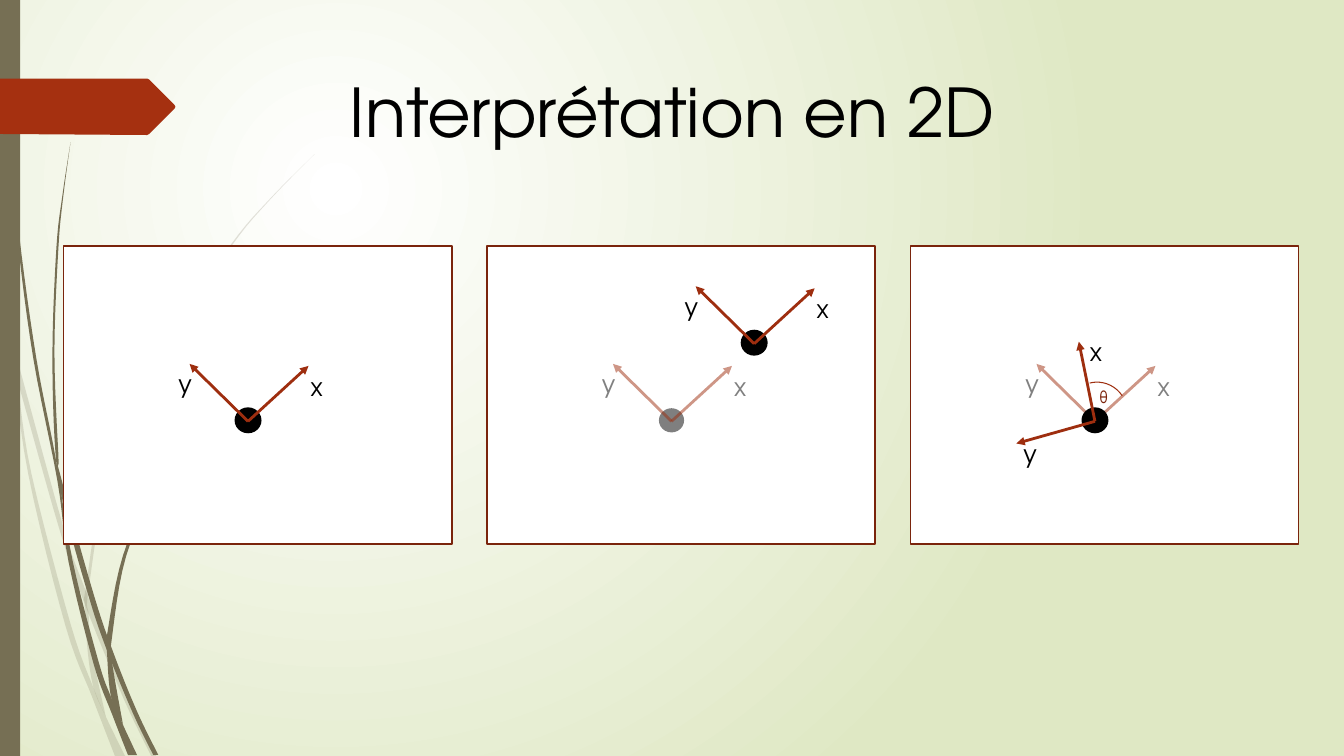
from dataclasses import dataclass

from lxml.etree import SubElement
from pptx import Presentation
from pptx.dml.color import RGBColor
from pptx.enum.shapes import MSO_CONNECTOR, MSO_SHAPE
from pptx.enum.text import MSO_ANCHOR, MSO_AUTO_SIZE, PP_ALIGN
from pptx.oxml.ns import qn
from pptx.util import Inches, Pt


@dataclass(frozen=True)
class Theme:
    font: str = "TeX Gyre Adventor"
    black: str = "000000"
    white: str = "FFFFFF"
    faded: str = "808080"
    pale_green: str = "DFE8C4"
    olive: str = "766F54"
    tag: str = "A53010"
    axis: str = "9E2E0F"
    border: str = "7A240C"
    angle: str = "7C240C"
    title_size: int = 48
    label_size: int = 18
    angle_size: int = 12


# Each blade of grass is a pair of edges, both listed from the tip down.
PALE_BLADES = [
    ([(0, 2.82), (0.09, 3.22), (0.17, 3.76), (0.31, 4.69), (0.7, 6.19), (0.93, 6.83),
      (1.05, 7.11), (1.24, 7.5)],
     [(0, 2.99), (0.1, 3.44), (0.28, 4.7), (0.65, 6.21), (0.92, 6.93), (1.14, 7.5)]),
    ([(0.14, 3.45), (0.62, 5.2), (0.85, 5.86), (1.27, 6.92), (1.55, 7.5)],
     [(0.17, 3.76), (0.58, 5.22), (0.84, 5.99), (1.23, 6.94), (1.5, 7.5)]),
    ([(3.12, 1.53), (2.68, 1.98), (2.29, 2.45), (1.6, 3.49), (1.1, 4.62), (0.88, 5.84),
      (0.88, 6.1), (0.91, 6.46), (1.05, 7.11)],
     [(3.12, 1.53), (2.68, 1.97), (2.28, 2.44), (1.58, 3.48), (1.07, 4.61), (0.85, 5.84),
      (0.84, 5.99), (0.87, 6.46), (0.93, 6.83), (1.05, 7.11)]),
]
DARK_BLADES = [
    ([(0.04, 0), (0.05, 0.48), (0.08, 1.09), (0.19, 2.32), (0.36, 3.55), (0.55, 4.53),
      (0.72, 5.56), (0.98, 6.57), (1.1, 6.91), (1.22, 7.19), (1.36, 7.49)],
     [(0.03, 0), (0.04, 0.48), (0.07, 1.1), (0.17, 2.33), (0.33, 3.55), (0.57, 4.77),
      (0.68, 5.57), (0.93, 6.59), (1.11, 7.08), (1.27, 7.49)]),
    ([(0.7, 1.41), (0.63, 1.93), (0.58, 2.45), (0.54, 3.49), (0.58, 4.53), (0.6, 4.72),
      (0.93, 5.9), (1.13, 6.49), (1.36, 7.06), (1.57, 7.49)],
     [(0.7, 1.41), (0.62, 1.93), (0.56, 2.45), (0.52, 3.49), (0.55, 4.49), (0.64, 5.05),
      (0.88, 5.92), (1.06, 6.45), (1.32, 7.08), (1.52, 7.49)]),
    ([(2.6, 3.44), (2.31, 3.74), (2.05, 4.06), (1.58, 4.76), (1.25, 5.52), (1.11, 6.33),
      (1.11, 6.56), (1.22, 7.19)],
     [(2.6, 3.44), (2.31, 3.73), (2.04, 4.05), (1.56, 4.74), (1.22, 5.51), (1.06, 6.31),
      (1.06, 6.45), (1.1, 6.91), (1.22, 7.19)]),
]
TAG_OUTLINE = [(0, 0.78), (1.46, 0.78), (1.48, 0.79), (1.73, 1.04), (1.74, 1.06),
               (1.73, 1.08), (1.48, 1.33), (1.46, 1.34), (0, 1.33)]


def smooth_edge(points, steps=6):
    """Return points along a Catmull-Rom curve through the given ones."""
    padded = [points[0], *points, points[-1]]
    curve = []
    for a, b, c, d in zip(padded, padded[1:], padded[2:], padded[3:]):
        for step in range(steps):
            t = step / steps
            curve.append(tuple(
                q + (r - p) * t / 2 + (2 * p - 5 * q + 4 * r - s) * t**2 / 2
                + (3 * q - p - 3 * r + s) * t**3 / 2
                for p, q, r, s in zip(a, b, c, d)))
    return curve + [points[-1]]


def set_opacity(element, percent):
    color = element.find(".//" + qn("a:srgbClr"))
    SubElement(color, qn("a:alpha"), val=str(percent * 1000))


class SlideBuilder:
    def __init__(self, slide, theme):
        self.slide = slide
        self.shapes = slide.shapes
        self.theme = theme

    def background(self):
        fill = self.slide.background.fill
        fill.gradient()
        for stop, color in zip(fill.gradient_stops, (self.theme.white, self.theme.pale_green)):
            stop.color.rgb = RGBColor.from_string(color)
        gradient = self.slide.element.find(".//" + qn("a:gradFill"))
        gradient.remove(gradient.find(qn("a:lin")))
        circle = SubElement(gradient, qn("a:path"), {"path": "circle"})
        SubElement(circle, qn("a:fillToRect"), l="50000", t="50000", r="100000", b="100000")

    def style(self, shape, fill=None, line=None, line_width=1.25, opacity=100):
        shape.shadow.inherit = False
        if fill:
            shape.fill.solid()
            shape.fill.fore_color.rgb = RGBColor.from_string(fill)
            if opacity < 100:
                set_opacity(shape.element.spPr, opacity)
        else:
            shape.fill.background()
        if line:
            shape.line.color.rgb = RGBColor.from_string(line)
            shape.line.width = Pt(line_width)
        else:
            shape.line.fill.background()

    def preset(self, kind, left, top, width, height, **style):
        shape = self.shapes.add_shape(kind, Inches(left), Inches(top), Inches(width), Inches(height))
        self.style(shape, **style)
        return shape

    def outline(self, points, fill, opacity=100):
        start, *rest = [(Inches(x), Inches(y)) for x, y in points]
        builder = self.shapes.build_freeform(*start)
        builder.add_line_segments(rest, close=True)
        self.style(builder.convert_to_shape(), fill=fill, opacity=opacity)

    def blades(self, blades, opacity=100):
        for right, left in blades:
            self.outline(smooth_edge(right) + smooth_edge(left)[::-1], self.theme.olive, opacity)

    def font(self, frame, size, color):
        font = frame.paragraphs[0].runs[0].font
        font.name = self.theme.font
        font.size = Pt(size)
        font.color.rgb = RGBColor.from_string(color)

    def title(self, text, left, top, width, height):
        title = self.shapes.title
        title.left, title.top, title.width, title.height = map(Inches, (left, top, width, height))
        frame = title.text_frame
        frame.text = text
        frame.auto_size = MSO_AUTO_SIZE.NONE
        frame.vertical_anchor = MSO_ANCHOR.MIDDLE
        frame.paragraphs[0].alignment = PP_ALIGN.LEFT
        self.font(frame, self.theme.title_size, self.theme.black)

    def label(self, text, left, top, size, color):
        box = self.shapes.add_textbox(Inches(left), Inches(top), Inches(0.21), Inches(0.3))
        frame = box.text_frame
        frame.text = text
        frame.word_wrap = False
        frame.margin_left, frame.margin_right = Inches(0.09), 0
        self.font(frame, size, color)

    def arrow(self, start, end, opacity):
        line = self.shapes.add_connector(MSO_CONNECTOR.STRAIGHT, *map(Inches, (*start, *end)))
        line.line.color.rgb = RGBColor.from_string(self.theme.axis)
        line.line.width = Pt(2)
        properties = line.element.spPr
        if opacity < 100:
            set_opacity(properties, opacity)
        SubElement(properties.find(qn("a:ln")), qn("a:tailEnd"), type="triangle")
        SubElement(properties, qn("a:effectLst"))

    def axes(self, x, y, x_tip=(0.6, -0.55), y_tip=(-0.58, -0.57),
             x_label=(0.53, -0.55), y_label=(-0.78, -0.57), ghost=False):
        """Draw a node with its two axes; tips and labels are offsets from the node."""
        theme, opacity = self.theme, 50 if ghost else 100
        self.preset(MSO_SHAPE.OVAL, x - 0.125, y - 0.13, 0.25, 0.24, fill=theme.black,
                    line=None if ghost else theme.black, opacity=opacity)
        for dx, dy in (x_tip, y_tip):
            self.arrow((x, y), (x + dx, y + dy), opacity)
        for name, (dx, dy) in (("x", x_label), ("y", y_label)):
            self.label(name, x + dx, y + dy, theme.label_size,
                       theme.faded if ghost else theme.black)

    def angle(self, x, y):
        arc = self.preset(MSO_SHAPE.ARC, x - 0.27, y - 0.39, 0.59, 0.6,
                          line=self.theme.axis, line_width=0.75)
        arc.adjustments[0], arc.adjustments[1] = 173.11, 0
        arc.rotation = 326.6
        self.label("θ", x - 0.05, y - 0.39, self.theme.angle_size, self.theme.angle)


def main():
    theme = Theme()
    deck = Presentation()
    deck.slide_width, deck.slide_height = Inches(13.33), Inches(7.5)
    page = SlideBuilder(deck.slides.add_slide(deck.slide_layouts[5]), theme)

    page.background()
    page.blades(PALE_BLADES, opacity=20)
    page.blades(DARK_BLADES)
    page.preset(MSO_SHAPE.RECTANGLE, 0, 0, 0.2, 7.5, fill=theme.olive)
    page.outline(TAG_OUTLINE, theme.tag)
    page.title("Interprétation en 2D", 3.37, 0.64, 8.09, 0.91)

    panel_lefts = [0.63 + 4.2 * column for column in range(3)]
    for left in panel_lefts:
        page.preset(MSO_SHAPE.RECTANGLE, left, 2.44, 3.85, 2.96,
                    fill=theme.white, line=theme.border)
    initial, translated, rotated = [left + 1.83 for left in panel_lefts]
    node_y = 4.18

    page.axes(initial, node_y)
    page.axes(translated, node_y, ghost=True)
    page.axes(translated + 0.82, node_y - 0.77)
    page.axes(rotated, node_y, ghost=True)
    page.axes(rotated, node_y, x_tip=(-0.16, -0.79), y_tip=(-0.78, 0.22),
              x_label=(-0.14, -0.89), y_label=(-0.8, 0.12))
    page.angle(rotated, node_y)
    deck.save("out.pptx")


if __name__ == "__main__":
    main()
